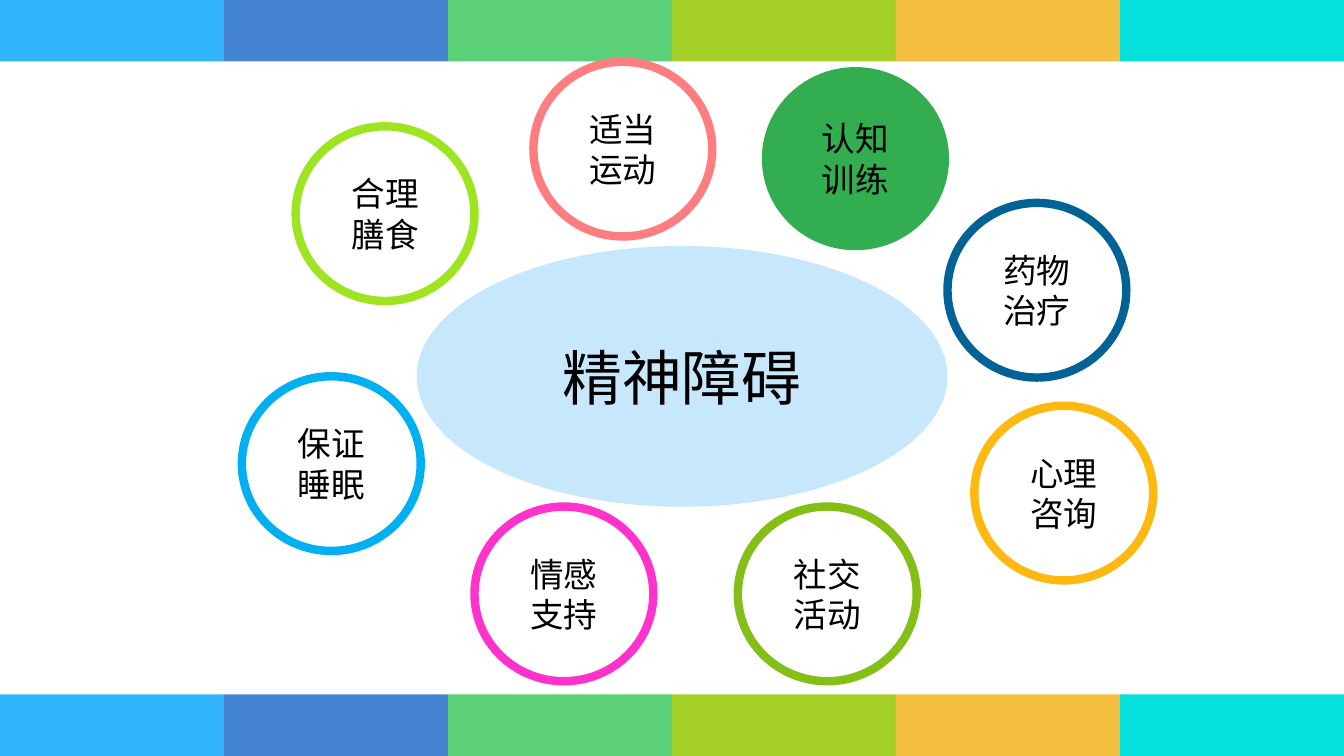
from dataclasses import dataclass
from typing import Optional

from pptx import Presentation
from pptx.dml.color import RGBColor
from pptx.enum.shapes import MSO_SHAPE
from pptx.enum.text import MSO_ANCHOR, PP_ALIGN
from pptx.shapes.autoshape import Shape
from pptx.slide import Slide
from pptx.util import Pt

RECT, OVAL = MSO_SHAPE.RECTANGLE, MSO_SHAPE.OVAL
MIDDLE, CENTER = MSO_ANCHOR.MIDDLE, PP_ALIGN.CENTER

SLIDE_W, SLIDE_H = 720, 405
BAND_H = 33
CIRCLE_W, CIRCLE_H = 95.8, 93.6
RING_WIDTH = 4.5
FONT = "TeX Gyre Adventor"

BLACK = RGBColor(0x00, 0x00, 0x00)
WHITE = RGBColor(0xFF, 0xFF, 0xFF)
PALE_BLUE = RGBColor(0xC6, 0xE7, 0xFC)
LIME = RGBColor(0x9E, 0xE4, 0x20)
CORAL = RGBColor(0xFF, 0x7C, 0x80)
OLIVE = RGBColor(0x83, 0xBF, 0x17)
SKY = RGBColor(0x00, 0xB0, 0xF0)
PINK = RGBColor(0xFF, 0x33, 0xCC)
NAVY = RGBColor(0x01, 0x62, 0x96)
GREEN = RGBColor(0x32, 0xAE, 0x51)
AMBER = RGBColor(0xFD, 0xB9, 0x0F)
BAND_COLORS = (
    RGBColor(0x31, 0xB6, 0xFD),
    RGBColor(0x45, 0x84, 0xD3),
    RGBColor(0x5B, 0xD0, 0x78),
    RGBColor(0xA5, 0xD0, 0x28),
    RGBColor(0xF5, 0xC0, 0x40),
    RGBColor(0x05, 0xE0, 0xDB),
)


@dataclass(frozen=True)
class Measure:
    """One circle around the centre, placed by its top left corner."""
    text: str
    left: float
    top: float
    ring: RGBColor
    fill: RGBColor = WHITE


MEASURES = (
    Measure("合理膳食", 158.4, 67.7, LIME),
    Measure("适当运动", 285.8, 33.1, CORAL),
    Measure("社交活动", 395.3, 271.4, OLIVE),
    Measure("保证睡眠", 129.6, 201.6, SKY),
    Measure("情感支持", 254.2, 271.4, PINK),
    Measure("药物治疗", 507.6, 108.7, NAVY),
    Measure("认知训练", 410.4, 38.2, GREEN, GREEN),
    Measure("心理咨询", 522, 217.4, AMBER),
)


def add_shape(slide: Slide, kind: MSO_SHAPE, left: float, top: float,
              width: float, height: float, fill: RGBColor,
              ring: Optional[RGBColor] = None) -> Shape:
    sp = slide.shapes.add_shape(kind, Pt(left), Pt(top), Pt(width), Pt(height))
    sp.shadow.inherit = False
    sp.fill.solid()
    sp.fill.fore_color.rgb = fill
    if ring is None:
        sp.line.fill.background()
    else:
        sp.line.color.rgb = ring
        sp.line.width = Pt(RING_WIDTH)
    return sp


def write(sp: Shape, text: str, *, size: float,
          color: RGBColor = BLACK) -> None:
    tf = sp.text_frame
    tf.word_wrap = True
    tf.vertical_anchor = MIDDLE
    p = tf.paragraphs[0]
    p.alignment = CENTER
    r = p.add_run()
    r.text = text
    r.font.name = FONT
    r.font.size = Pt(size)
    r.font.color.rgb = color


def add_band(slide: Slide, top: float) -> None:
    width = SLIDE_W / len(BAND_COLORS)
    for i, color in enumerate(BAND_COLORS):
        add_shape(slide, RECT, i * width, top, width, BAND_H, color)


def add_measure(slide: Slide, measure: Measure) -> None:
    sp = add_shape(slide, OVAL, measure.left, measure.top, CIRCLE_W, CIRCLE_H,
                   measure.fill, measure.ring)
    write(sp, measure.text, size=18)


def main() -> None:
    prs = Presentation()
    prs.slide_width, prs.slide_height = Pt(SLIDE_W), Pt(SLIDE_H)
    slide = prs.slides.add_slide(prs.slide_layouts[6])

    for top in (0, SLIDE_H - BAND_H):
        add_band(slide, top)

    topic = add_shape(slide, OVAL, 223.2, 131.8, 284.4, 139.7, PALE_BLUE)
    write(topic, "精神障碍", size=32)

    for measure in MEASURES:
        add_measure(slide, measure)

    prs.save("out.pptx")


if __name__ == "__main__":
    main()
